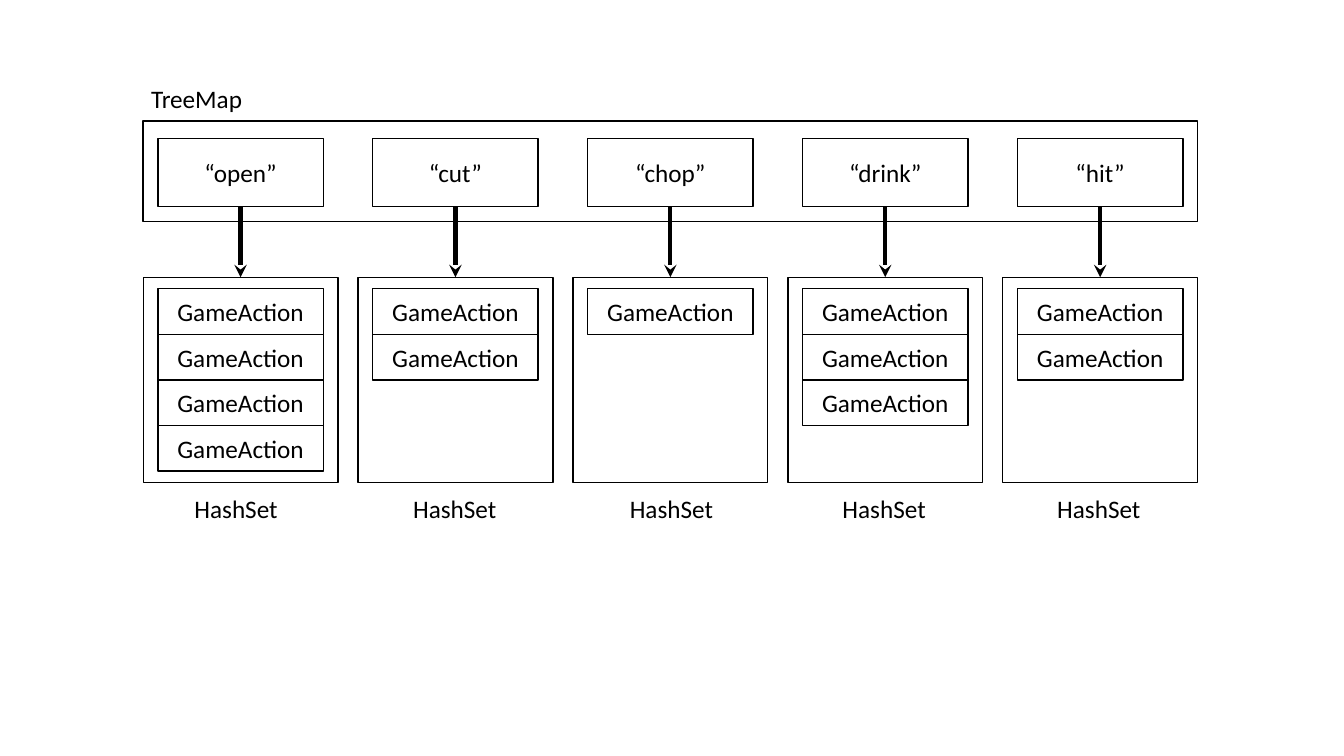
from lxml import etree
from pptx import Presentation
from pptx.dml.color import RGBColor
from pptx.enum.shapes import MSO_CONNECTOR, MSO_SHAPE
from pptx.enum.text import MSO_ANCHOR, PP_ALIGN
from pptx.oxml.ns import qn
from pptx.util import Pt

# Content: key, number of actions in its set, left edge of the set's label
MAP_LABEL, SET_LABEL, ACTION = "TreeMap", "HashSet", "GameAction"
ENTRIES = [
    ("“open”", 4, 131.8),
    ("“cut”", 2, 288),
    ("“chop”", 1, 442.8),
    ("“drink”", 3, 594.7),
    ("“hit”", 2, 748.1),
]

THEME = {
    "font": "Calibri", "size": Pt(18),
    "ink": RGBColor(0, 0, 0), "paper": RGBColor(255, 255, 255),
    "outline": Pt(1), "arrow": Pt(3),
}

# Layout in points
LEFT, PITCH = 102.3, 153.5
MAP_TOP, MAP_H = 86.4, 72
KEY_TOP, KEY_H = 98.8, 48.8
SET_TOP, SET_W, SET_H = 198, 139.1, 146.8
CELL_W, CELL_H = 118.2, 32.6
ACTION_TOP = 206.2
INSET = (SET_W - CELL_W) / 2
MAP_W = PITCH * (len(ENTRIES) - 1) + SET_W


def write(sp, text, align):
    p = sp.text_frame.paragraphs[0]
    p.text = text
    p.alignment = align
    p.font.name = THEME["font"]
    p.font.size = THEME["size"]
    p.font.color.rgb = THEME["ink"]


def box(shapes, x, y, w, h, text=None):
    sp = shapes.add_shape(MSO_SHAPE.RECTANGLE, Pt(x), Pt(y), Pt(w), Pt(h))
    sp.shadow.inherit = False
    sp.fill.solid()
    sp.fill.fore_color.rgb = THEME["paper"]
    sp.line.color.rgb = THEME["ink"]
    sp.line.width = THEME["outline"]
    if text:
        sp.text_frame.vertical_anchor = MSO_ANCHOR.MIDDLE
        write(sp, text, PP_ALIGN.CENTER)


def label(shapes, x, y, w, text):
    sp = shapes.add_textbox(Pt(x), Pt(y), Pt(w), Pt(29))
    sp.text_frame.word_wrap = False
    write(sp, text, PP_ALIGN.LEFT)


def arrow(shapes, x, top, bottom):
    c = shapes.add_connector(MSO_CONNECTOR.STRAIGHT, Pt(x), Pt(top), Pt(x), Pt(bottom))
    c.line.color.rgb = THEME["ink"]
    c.line.width = THEME["arrow"]
    etree.SubElement(c.line._get_or_add_ln(), qn("a:tailEnd"), type="stealth")
    etree.SubElement(c._element.spPr, qn("a:effectLst"))


prs = Presentation()
prs.slide_width, prs.slide_height = Pt(960), Pt(540)
s = prs.slides.add_slide(prs.slide_layouts[6])

# Map
box(s.shapes, LEFT, MAP_TOP, MAP_W, MAP_H)
label(s.shapes, 100.8, 56.2, 80.6, MAP_LABEL)

# One column per entry: key, set of actions, arrow, label
for i, (key, count, label_x) in enumerate(ENTRIES):
    x = LEFT + i * PITCH
    box(s.shapes, x + INSET, KEY_TOP, CELL_W, KEY_H, key)
    hash_set = s.shapes.add_group_shape().shapes
    box(hash_set, x, SET_TOP, SET_W, SET_H)
    for row in range(count):
        box(hash_set, x + INSET, ACTION_TOP + row * CELL_H, CELL_W, CELL_H, ACTION)
    arrow(s.shapes, x + SET_W / 2, KEY_TOP + KEY_H, SET_TOP)
    label(s.shapes, label_x, 348.5, 74.9, SET_LABEL)

prs.save("out.pptx")
